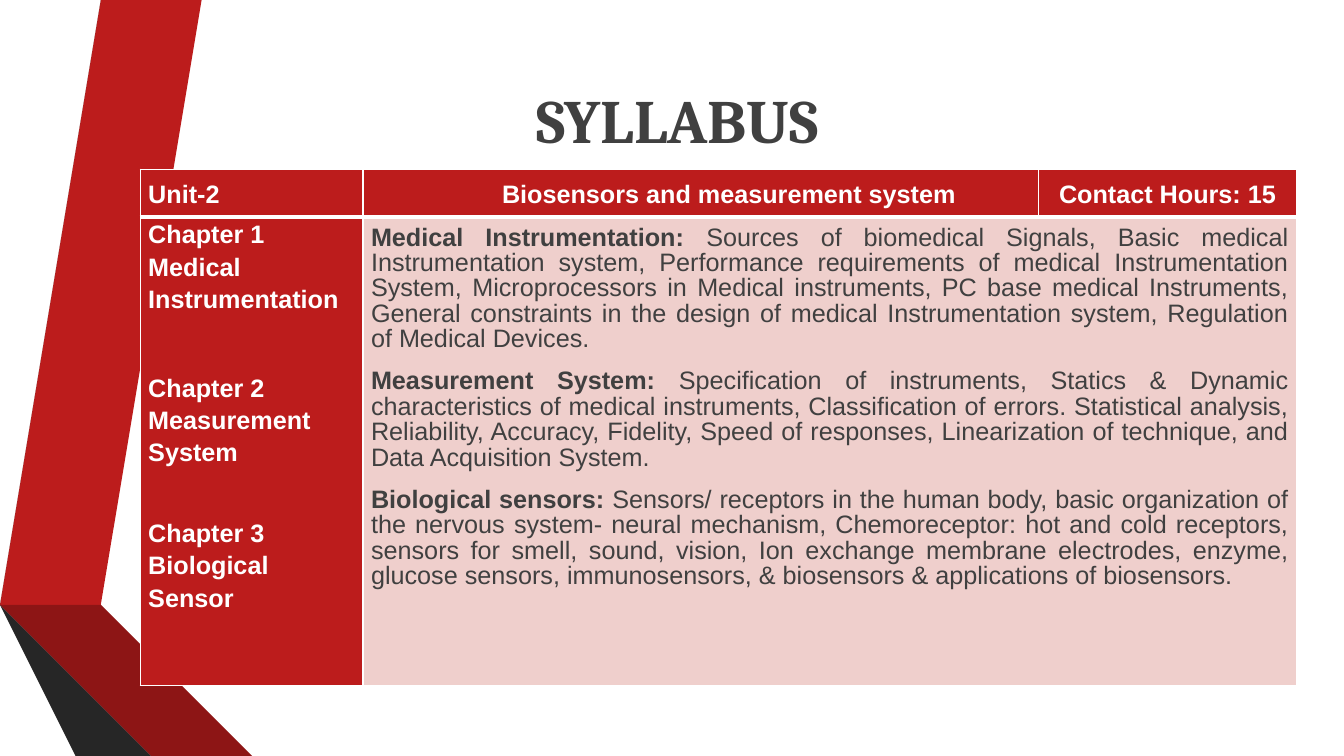
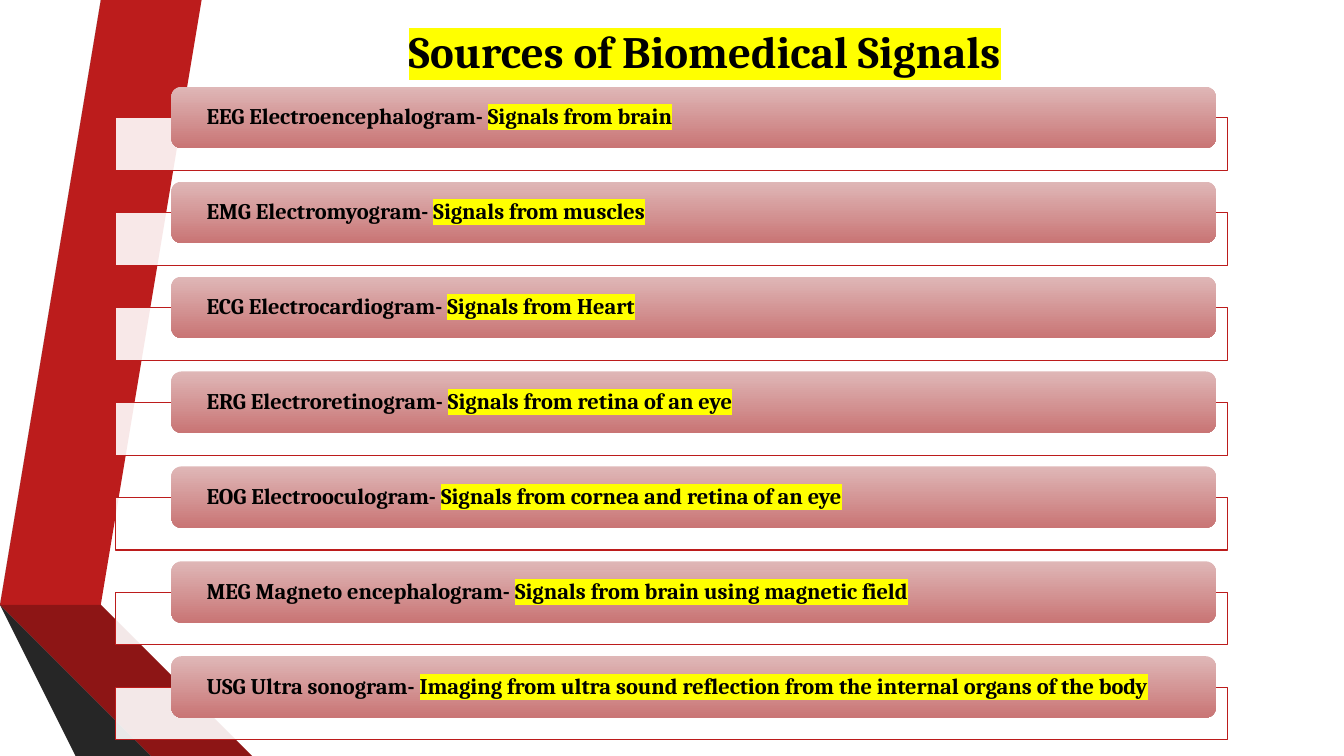
from pptx import Presentation
from pptx import util as u
from pptx.dml.color import RGBColor
from pptx.enum import shapes, text
from pptx.oxml import parse_xml
from pptx.oxml.ns import nsdecls, qn

RED, GREY, BLACK, WHITE = "BC1C1C", "404040", "000000", "FFFFFF"
PINK, GLOW = "EFCFCC", "FFFF00"
LEFT, MID, FULL = text.PP_ALIGN.LEFT, text.PP_ALIGN.CENTER, text.PP_ALIGN.JUSTIFY


def hue(code):
    return RGBColor.from_string(code)


def write(par, words, size, face, tint, bold=True, mark=None):
    run = par.add_run()
    run.text = words
    look = {"size": u.Pt(size), "name": face, "bold": bold}
    for key, val in look.items():
        setattr(run.font, key, val)
    run.font.color.rgb = hue(tint)
    if mark:
        glow = parse_xml(f'<a:highlight {nsdecls("a")}><a:srgbClr val="{mark}"/></a:highlight>')
        run.font.color  
        run._r.rPr.find(qn("a:latin")).addprevious(glow)


deck = Presentation()
deck.slide_width, deck.slide_height = u.Inches(13.33), u.Inches(7.5)
plan = deck.slide_layouts[5]

heads = [
    ("SYLLABUS", (1.24, 0.65, 10.96, 1.06), 44, GREY, None),
    ("Sources of Biomedical Signals", (1.79, 0.19, 10.4, 0.63), 32, BLACK, GLOW),
]
pages = []
for words, box, size, tint, mark in heads:
    page = deck.slides.add_slide(plan)
    title = page.shapes.title
    for key, val in zip(("left", "top", "width", "height"), box):
        setattr(title, key, u.Inches(val))
    frame = title.text_frame
    frame.auto_size = text.MSO_AUTO_SIZE.NONE
    frame.vertical_anchor = text.MSO_ANCHOR.MIDDLE
    frame.paragraphs[0].alignment = MID
    write(frame.paragraphs[0], words, size, "Cambria", tint, mark=mark)
    pages.append(page)
first, second = pages

bands = [
    (RED, [(0.5, 5.78), (0.77, 5.83), (1.73, 0), (1.45, 0)]),
    ("595959", [(1.39, 0), (1.11, 0), (0.16, 5.73), (0.44, 5.77)]),
    ("262626", [(0.16, 5.73), (1.45, 7.5), (1.51, 7.5)]),
    ("5E0E0E", [(0.5, 5.79), (2.08, 7.5), (2.14, 7.5)]),
    ("8D1515", [(0.5, 5.79), (2.14, 7.5), (2.83, 7.5), (0.77, 5.83), (0.5, 5.78)]),
    (GREY, [(2.02, 7.5), (0.48, 5.83), (0.43, 5.78), (0.44, 5.77), (0.16, 5.73), (1.51, 7.5)]),
]
for n, (tint, dots) in enumerate(bands):
    pen = first.shapes.build_freeform(*dots[0], scale=u.Inches(1))
    pen.add_line_segments(dots[1:], close=True)
    band = pen.convert_to_shape()
    band.name = f"Band {n + 1}"
    band.shadow.inherit = False
    band.fill.solid()
    band.fill.fore_color.rgb = hue(tint)
    band.line.fill.background()
    band.element.nvSpPr.cNvPr.set("id", str(101 + n))
    plan.shapes.element.insert(2 + n, band.element)

wide, tall = (2.21, 6.7, 2.56), (0.47, 4.65)
grid = first.shapes.add_table(
    2, 3, u.Inches(1.39), u.Inches(1.68), u.Inches(sum(wide)), u.Inches(sum(tall))
).table
for col, val in zip(grid.columns, wide):
    col.width = u.Inches(val)
for row, val in zip(grid.rows, tall):
    row.height = u.Inches(val)

for r in range(2):
    for c in range(3):
        cell = grid.cell(r, c)
        edges = {"lnL": 1, "lnR": 1, "lnT": 3 if r else 1, "lnB": 1 if r else 3}
        for tag, thick in edges.items():
            cell._tc.get_or_add_tcPr().append(parse_xml(
                f'<a:{tag} {nsdecls("a")} w="{u.Pt(thick)}"><a:solidFill>'
                f'<a:srgbClr val="{WHITE}"/></a:solidFill></a:{tag}>'))
        cell.fill.solid()
        cell.fill.fore_color.rgb = hue(PINK if r and c else RED)
        pads = {"margin_left": 0.08, "margin_right": 0.08, "margin_top": 0, "margin_bottom": 0}
        for key, val in pads.items():
            setattr(cell, key, u.Inches(val))
        cell.vertical_anchor = text.MSO_ANCHOR.TOP if r else text.MSO_ANCHOR.MIDDLE
grid.cell(1, 1).merge(grid.cell(1, 2))
grid.cell(0, 1).margin_left = u.Inches(0.64)
grid.cell(1, 1).margin_top = u.Inches(0.09)

tops = [("Unit-2", LEFT), ("Biosensors and measurement system", MID), ("Contact Hours: 15", MID)]
for c, (words, side) in enumerate(tops):
    par = grid.cell(0, c).text_frame.paragraphs[0]
    par.alignment, par.line_spacing, par.space_after = side, 1.15, u.Pt(10)
    write(par, words, 18, "Arial", WHITE)

parts = [
    ("Chapter 1", 0), ("Medical Instrumentation", 0),
    ("Chapter 2", 40), ("Measurement System", 0),
    ("Chapter 3", 34.5), ("Biological Sensor", 0),
]
frame = grid.cell(1, 0).text_frame
for n, (words, gap) in enumerate(parts):
    par = frame.add_paragraph() if n else frame.paragraphs[0]
    par.alignment, par.line_spacing, par.space_before = FULL, 1.15, u.Pt(gap)
    write(par, words, 18, "Arial", WHITE)

topics = [
    ("Medical Instrumentation: ",
     "Sources of biomedical Signals, Basic medical Instrumentation system, Performance "
     "requirements of medical Instrumentation System, Microprocessors in Medical instruments, "
     "PC base medical Instruments, General constraints in the design of medical "
     "Instrumentation system, Regulation of Medical Devices."),
    ("Measurement System: ",
     "Specification of instruments, Statics & Dynamic characteristics of medical instruments, "
     "Classification of errors. Statistical analysis, Reliability, Accuracy, Fidelity, Speed "
     "of responses, Linearization of technique, and Data Acquisition System."),
    ("Biological sensors: ",
     "Sensors/ receptors in the human body, basic organization of the nervous system- neural "
     "mechanism, Chemoreceptor: hot and cold receptors, sensors for smell, sound, vision, Ion "
     "exchange membrane electrodes, enzyme, glucose sensors, immunosensors, & biosensors & "
     "applications of biosensors."),
]
frame = grid.cell(1, 1).text_frame
for n, (lead, body) in enumerate(topics):
    par = frame.add_paragraph() if n else frame.paragraphs[0]
    par.alignment, par.line_spacing, par.space_after = FULL, 0.9, u.Pt(12)
    write(par, lead, 18, "Arial", GREY)
    write(par, body, 18, "Arial", GREY, bold=False)

signals = [
    ("EEG Electroencephalogram- ", "Signals from brain"),
    ("EMG Electromyogram- ", "Signals from muscles"),
    ("ECG Electrocardiogram- ", "Signals from Heart"),
    ("ERG Electroretinogram- ", "Signals from retina of an eye"),
    ("EOG Electrooculogram- ", "Signals from cornea and retina of an eye"),
    ("MEG Magneto encephalogram- ", "Signals from brain using magnetic field"),
    ("USG Ultra sonogram- ",
     "Imaging from ultra sound reflection from the internal organs of the body"),
]
step = (6.51 - 0.86) / (len(signals) - 1)
kind = shapes.MSO_SHAPE
for n, (lead, body) in enumerate(signals):
    top = 0.86 + n * step
    tray = second.shapes.add_shape(
        kind.RECTANGLE, u.Inches(1.15), u.Inches(top + 0.31), u.Inches(11.03), u.Inches(0.52))
    tray.shadow.inherit = False
    tray.fill.solid()
    tray.fill.fore_color.rgb = hue(WHITE)
    tint = tray.element.spPr.find(qn("a:solidFill")).find(qn("a:srgbClr"))
    tint.append(parse_xml(f'<a:alpha {nsdecls("a")} val="90000"/>'))
    tray.line.color.rgb = hue(RED)
    tray.line.width = u.Pt(0.75)

    bar = second.shapes.add_shape(
        kind.ROUNDED_RECTANGLE, u.Inches(1.7), u.Inches(top), u.Inches(10.36), u.Inches(0.61))
    bar.shadow.inherit = False
    bar.fill.gradient()
    bar.fill.gradient_angle = 270
    for stop, code, spot in zip(bar.fill.gradient_stops, ("DFB7B7", "C97575"), (0, 1)):
        stop.color.rgb = hue(code)
        stop.position = spot
    bar.line.fill.background()
    frame = bar.text_frame
    frame.word_wrap = True
    frame.vertical_anchor = text.MSO_ANCHOR.MIDDLE
    frame.margin_left = frame.margin_right = u.Inches(0.32)
    frame.margin_top = frame.margin_bottom = 0
    par = frame.paragraphs[0]
    par.alignment, par.line_spacing = LEFT, 0.9
    write(par, lead, 16, "Cambria", BLACK)
    write(par, body, 16, "Cambria", BLACK, mark=GLOW)

deck.save("out.pptx")
